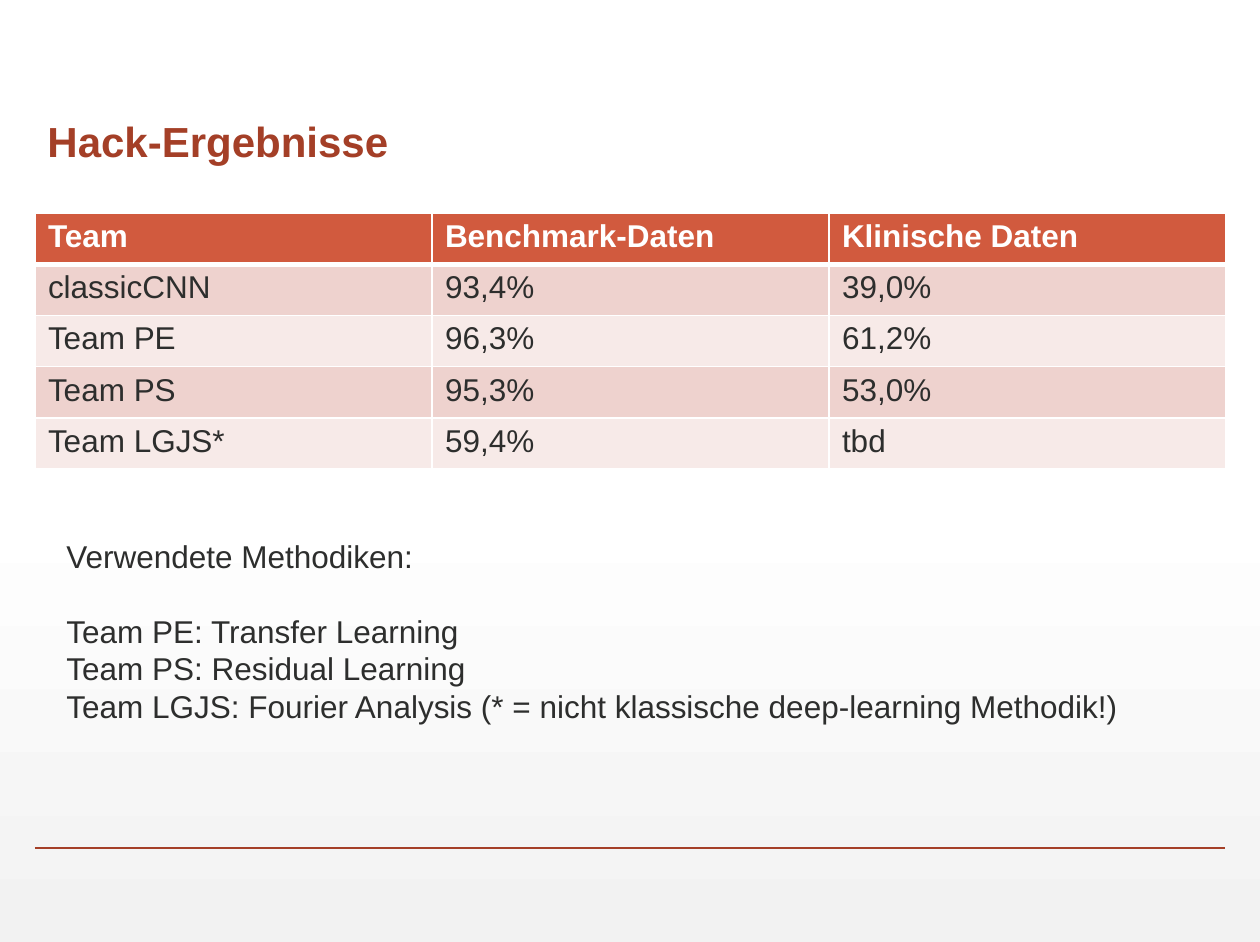
"""Builds the slide with the hack results: a table of scores and the methods used."""
import pptx
import pptx.dml.color
import pptx.enum.shapes
import pptx.enum.text
import pptx.oxml
import pptx.oxml.ns
import pptx.util

RGB = pptx.dml.color.RGBColor
WHITE = RGB(0xFF, 0xFF, 0xFF)
GREY = RGB(0xF2, 0xF2, 0xF2)
RUST = RGB(0xA4, 0x3F, 0x27)
HEAD = RGB(0xD1, 0x5A, 0x3E)
ROSE = RGB(0xEE, 0xD2, 0xCE)
PALE = RGB(0xF7, 0xEA, 0xE8)
INK = RGB(0x2D, 0x2E, 0x2D)
NS = pptx.oxml.ns.nsdecls("a")


def px(num):
    return pptx.util.Emu(round(num * 914400 / 126))


def write(frame, text, size=18, color=INK, bold=False, line=None, gap=0):
    frame.word_wrap = True
    for i, part in enumerate(text.split("\n")):
        para = frame.add_paragraph() if i else frame.paragraphs[0]
        para.line_spacing = line
        if gap and i == 0:
            para.space_after = pptx.util.Pt(gap)
        run = para.add_run()
        run.text = part
        run.font.name = "Arial"
        run.font.size = pptx.util.Pt(size)
        run.font.bold = bold
        run.font.color.rgb = color


deck = pptx.Presentation()
deck.slide_width, deck.slide_height = px(1260), px(942)
slide = deck.slides.add_slide(deck.slide_layouts[6])

back = slide.background.fill
back.gradient()
back.gradient_angle = 270
for stop, (place, color) in zip(back.gradient_stops, [(0.53, WHITE), (1, GREY)]):
    stop.position = place
    stop.color.rgb = color

rule = slide.shapes.add_connector(
    pptx.enum.shapes.MSO_CONNECTOR.STRAIGHT, px(35), px(848), px(1225), px(848))
rule.line.color.rgb = RUST
rule.line.width = pptx.util.Pt(1)
rule._element.spPr.append(pptx.oxml.parse_xml(f"<a:effectLst {NS}/>"))

title = slide.shapes.add_textbox(px(35), px(15), px(1190), px(158)).text_frame
title.vertical_anchor = pptx.enum.text.MSO_ANCHOR.BOTTOM
write(title, "Hack-Ergebnisse", size=24, color=RUST, bold=True, line=0.9)

rows = [
    ("Team", "Benchmark-Daten", "Klinische Daten"),
    ("classicCNN", "93,4%", "39,0%"),
    ("Team PE", "96,3%", "61,2%"),
    ("Team PS", "95,3%", "53,0%"),
    ("Team LGJS*", "59,4%", "tbd"),
]
table = slide.shapes.add_table(
    len(rows), 3, px(35), px(213), px(1191), px(256)).table
for r, row in enumerate(rows):
    for c, text in enumerate(row):
        cell = table.cell(r, c)
        cell.margin_left = cell.margin_right = px(13)
        cell.margin_top = cell.margin_bottom = px(6)
        write(cell.text_frame, text, color=INK if r else WHITE, bold=r == 0)
        for side in "LRTB":
            thick = 3 if (r, side) in [(0, "B"), (1, "T")] else 1
            cell._tc.get_or_add_tcPr().append(pptx.oxml.parse_xml(
                f'<a:ln{side} {NS} w="{thick * 12700}"><a:solidFill>'
                f'<a:srgbClr val="{WHITE}"/></a:solidFill></a:ln{side}>'))
        cell.fill.solid()
        cell.fill.fore_color.rgb = HEAD if r == 0 else ROSE if r % 2 else PALE

notes = slide.shapes.add_textbox(px(54), px(531), px(1131), px(204)).text_frame
write(notes, "Verwendete Methodiken:\n"
      "Team PE: Transfer Learning\n"
      "Team PS: Residual Learning\n"
      "Team LGJS: Fourier Analysis (* = nicht klassische deep-learning Methodik!)",
      gap=21)

deck.save("out.pptx")
